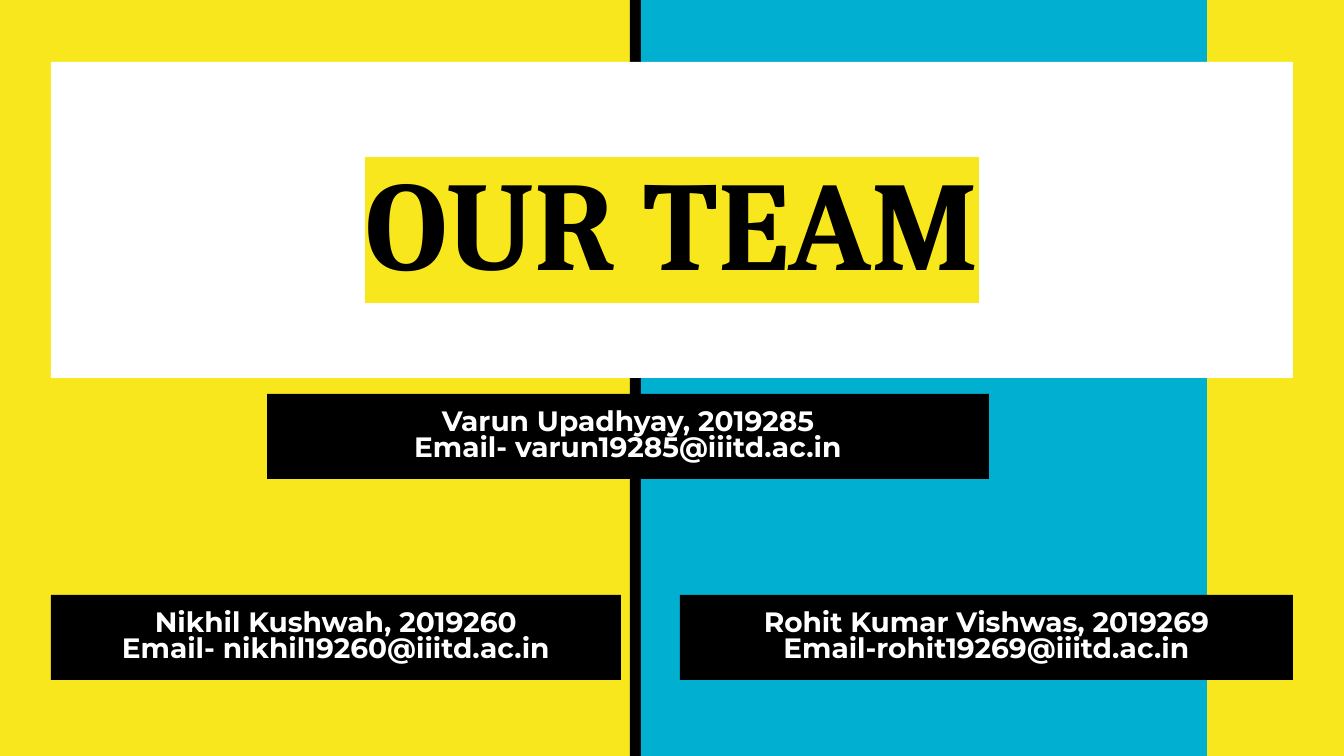
"""Build the team slide with a headline panel and three contact cards."""
from typing import NamedTuple

from lxml import etree
from pptx import Presentation
from pptx import util as u
from pptx.dml.color import RGBColor
from pptx.enum import shapes, text
from pptx.oxml.ns import qn

PX = 914400 / 134.4
WIDTH, HEIGHT = 1344, 756
MARGIN = 51
CARD_HEIGHT = 85
INSET = u.Inches(0.1)

YELLOW = RGBColor(0xF8, 0xE7, 0x1C)
BLUE = RGBColor(0x01, 0xAF, 0xD1)
BLACK = RGBColor(0, 0, 0)
WHITE = RGBColor(0xFF, 0xFF, 0xFF)


class Box(NamedTuple):
    left: int
    top: int
    width: int
    height: int


class Member(NamedTuple):
    box: Box
    name: str
    email: str


STRIPES = [
    (Box(630, 0, 11, HEIGHT), BLACK),
    (Box(641, 0, 566, HEIGHT), BLUE),
]
HEADLINE = Box(MARGIN, 62, WIDTH - 2 * MARGIN, 316)
MEMBERS = [
    Member(Box(267, 394, 722, CARD_HEIGHT),
           "Varun Upadhyay, 2019285", "Email- varun19285@iiitd.ac.in"),
    Member(Box(MARGIN, 595, 570, CARD_HEIGHT),
           "Nikhil Kushwah, 2019260", "Email- nikhil19260@iiitd.ac.in"),
    Member(Box(680, 595, 613, CARD_HEIGHT),
           "Rohit Kumar Vishwas, 2019269", "Email-rohit19269@iiitd.ac.in"),
]


def px(length: int) -> u.Emu:
    """Turn pixels into EMU."""
    return u.Emu(round(length * PX))


def add_panel(slide, box: Box, fill: RGBColor):
    """Draw a plain filled rectangle."""
    panel = slide.shapes.add_shape(
        shapes.MSO_SHAPE.RECTANGLE, *(px(length) for length in box))
    panel.shadow.inherit = False
    panel.fill.solid()
    panel.fill.fore_color.rgb = fill
    panel.line.fill.background()
    return panel


def write(panel, lines: list[str], *, font: str, size: int, color: RGBColor,
          spacing: float = 1.0, highlight: RGBColor | None = None) -> None:
    """Write centred bold lines into a panel."""
    frame = panel.text_frame
    frame.word_wrap = True
    frame.vertical_anchor = text.MSO_ANCHOR.MIDDLE
    frame.margin_left = frame.margin_right = INSET
    frame.margin_top = frame.margin_bottom = INSET
    for index, line in enumerate(lines):
        paragraph = frame.add_paragraph() if index else frame.paragraphs[0]
        paragraph.alignment = text.PP_ALIGN.CENTER
        paragraph.line_spacing = spacing
        run = paragraph.add_run()
        run.text = line
        run.font.size = u.Pt(size)
        run.font.bold = True
        run.font.color.rgb = color
        if highlight is not None:
            mark = etree.SubElement(run.font._element, qn("a:highlight"))
            etree.SubElement(mark, qn("a:srgbClr"), val=str(highlight))
        run.font.name = font


def main() -> None:
    """Build and save the slide."""
    deck = Presentation()
    deck.slide_width, deck.slide_height = px(WIDTH), px(HEIGHT)
    slide = deck.slides.add_slide(deck.slide_layouts[6])
    slide.background.fill.solid()
    slide.background.fill.fore_color.rgb = YELLOW

    for box, color in STRIPES:
        add_panel(slide, box, color)
    write(add_panel(slide, HEADLINE, WHITE), ["OUR TEAM"],
          font="Cambria", size=68, color=BLACK, highlight=YELLOW)
    for member in MEMBERS:
        write(add_panel(slide, member.box, BLACK), [member.name, member.email],
              font="Montserrat", size=15, color=WHITE, spacing=0.8)

    deck.save("out.pptx")


if __name__ == "__main__":
    main()
